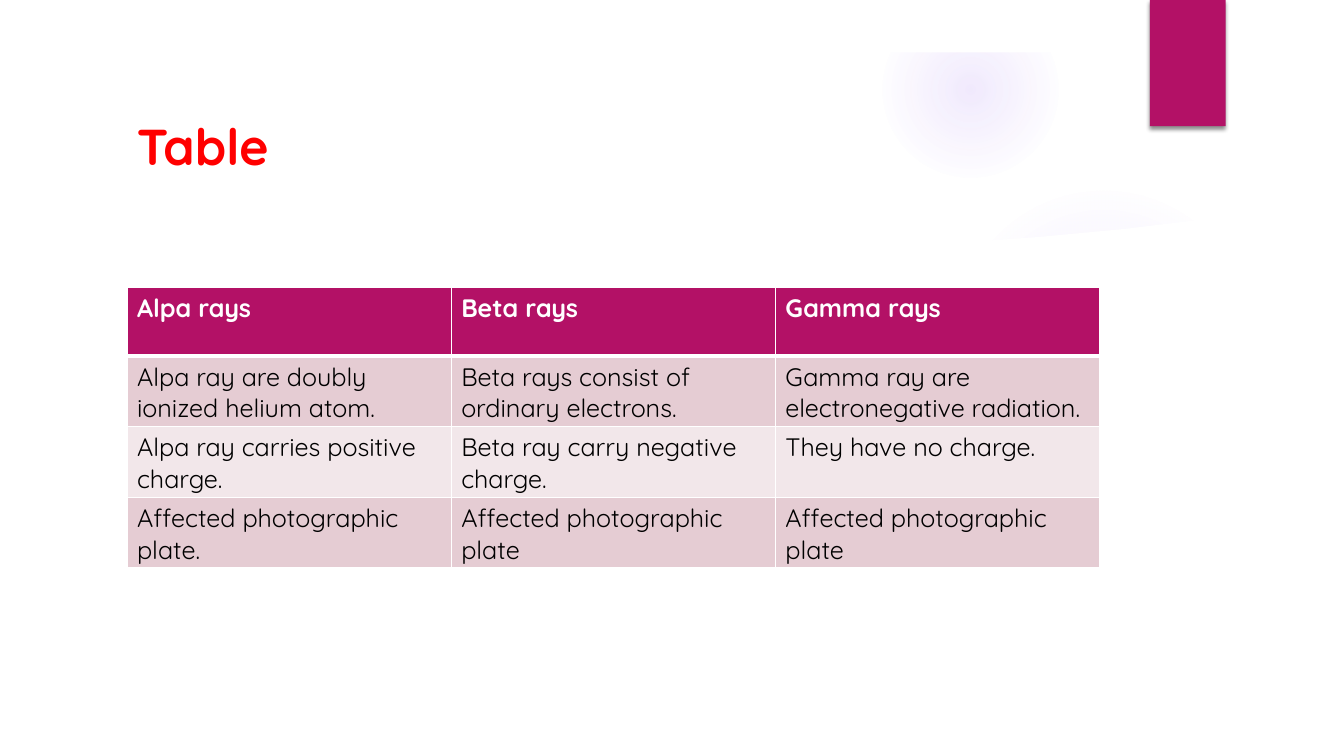
import dataclasses
import typing

import pptx
import pptx.dml.color
import pptx.enum.shapes
import pptx.enum.text
import pptx.oxml
import pptx.oxml.ns
import pptx.util

Cm = pptx.util.Cm
Pt = pptx.util.Pt
RGB = pptx.dml.color.RGBColor
Preset = pptx.enum.shapes.MSO_SHAPE
XMLNS = pptx.oxml.ns.nsdecls("a")


@dataclasses.dataclass(frozen=True)
class Theme:
    font: str = "Quicksand"
    white: str = "FFFFFF"
    black: str = "000000"
    title: str = "FF0000"
    accent: str = "B31166"
    glow: str = "9B6BF2"
    bands: tuple[str, str] = ("E5CCD3", "F2E7EA")
    title_size: int = 36
    table_size: int = 18


@dataclasses.dataclass(frozen=True)
class Box:
    """A rectangle in centimetres."""
    left: float
    top: float
    width: float
    height: float

    def lengths(self) -> tuple[int, ...]:
        return tuple(Cm(side) for side in dataclasses.astuple(self))


@dataclasses.dataclass(frozen=True)
class Glow:
    """A radial glow; each stop is (position, opacity) in percent."""
    left: float
    top: float
    diameter: float
    stops: tuple[tuple[int, int], ...]


THEME = Theme()
SLIDE = Box(0, 0, 33.87, 19.05)
TITLE = Box(3.2, 2.69, 24.33, 1.96)
TABLE = Box(3.2, 7.24, 24.51, 6.92)
ACCENT_TAB = Box(28.98, 0, 1.91, 3.18)
FRAME_THICKNESS = 1.32
GLOWS = (
    Glow(23.9, 4.65, 7.82, ((0, 7), (36, 6), (69, 0))),
    Glow(22.23, 0.03, 4.45, ((0, 14), (36, 7), (73, 0))),
)
PANEL_BOTTOM = 17.78
PANEL_EDGE = (
    (1.27, 5.18), (4.75, 5.61), (8.15, 5.92), (11.28, 6.12),
    (14.81, 6.25), (17.98, 6.3), (21.34, 6.25), (24.1, 6.12),
    (26.21, 5.97), (28.35, 5.77), (30.48, 5.51), (32.61, 5.18),
)
RAYS = (
    ("Alpa rays", "Beta rays", "Gamma rays"),
    ("Alpa ray are doubly ionized helium atom.",
     "Beta rays consist of ordinary electrons.",
     "Gamma ray are electronegative radiation."),
    ("Alpa ray carries positive charge.",
     "Beta ray carry negative charge.",
     "They have no charge."),
    ("Affected photographic plate.",
     "Affected photographic plate",
     "Affected photographic plate"),
)


def write(frame: typing.Any, text: str, size: int, color: str, bold: bool) -> None:
    run = frame.paragraphs[0].add_run()
    run.text = text
    formats = {"name": THEME.font, "size": Pt(size), "bold": bold}
    for attribute, value in formats.items():
        setattr(run.font, attribute, value)
    run.font.color.rgb = RGB.from_string(color)


def paint(shape: typing.Any, color: str) -> None:
    """Give a shape a flat fill with neither outline nor shadow."""
    shape.fill.solid()
    shape.fill.fore_color.rgb = RGB.from_string(color)
    shape.line.fill.background()
    shape.shadow.inherit = False


def draw_glow(shapes: typing.Any, glow: Glow) -> None:
    box = Box(glow.left, glow.top, glow.diameter, glow.diameter)
    halo = shapes.add_shape(Preset.OVAL, *box.lengths())
    paint(halo, THEME.glow)
    stops = "".join(
        f'<a:gs pos="{position * 1000}"><a:srgbClr val="{THEME.glow}">'
        f'<a:alpha val="{opacity * 1000}"/></a:srgbClr></a:gs>'
        for position, opacity in glow.stops
    )
    gradient = pptx.oxml.parse_xml(
        f'<a:gradFill {XMLNS}><a:gsLst>{stops}</a:gsLst><a:path path="circle">'
        '<a:fillToRect l="50000" t="50000" r="50000" b="50000"/>'
        '</a:path></a:gradFill>'
    )
    properties = halo.element.spPr
    properties.replace(properties.find(pptx.oxml.ns.qn("a:solidFill")), gradient)


def draw_panel(shapes: typing.Any) -> None:
    """Draw the white area whose sagging top edge cuts off the lower glow."""
    left, right = PANEL_EDGE[0][0], PANEL_EDGE[-1][0]
    outline = (*PANEL_EDGE, (right, PANEL_BOTTOM), (left, PANEL_BOTTOM))
    points = [(Cm(x), Cm(y)) for x, y in outline]
    builder = shapes.build_freeform(*points[0])
    builder.add_line_segments(points[1:], close=True)
    paint(builder.convert_to_shape(), THEME.white)


def draw_frame(shapes: typing.Any) -> None:
    frame = shapes.add_shape(Preset.FRAME, *SLIDE.lengths())
    frame.adjustments[0] = FRAME_THICKNESS / SLIDE.height
    paint(frame, THEME.white)


def draw_accent_tab(shapes: typing.Any) -> None:
    tab = shapes.add_shape(Preset.RECTANGLE, *ACCENT_TAB.lengths())
    paint(tab, THEME.accent)
    effects = tab.element.spPr.find(pptx.oxml.ns.qn("a:effectLst"))
    effects.append(pptx.oxml.parse_xml(
        f'<a:outerShdw {XMLNS} blurRad="{Pt(3)}" dist="{Pt(2)}" dir="5400000">'
        f'<a:srgbClr val="{THEME.black}"><a:alpha val="45000"/></a:srgbClr>'
        '</a:outerShdw>'
    ))


def draw_title(shapes: typing.Any) -> None:
    frame = shapes.add_textbox(*TITLE.lengths()).text_frame
    frame.word_wrap = True
    frame.vertical_anchor = pptx.enum.text.MSO_ANCHOR.MIDDLE
    write(frame, "Table", THEME.title_size, THEME.title, True)


def set_borders(cell: typing.Any, widths: dict[str, int]) -> None:
    """Add white borders, given in points by side in the order L, R, T, B."""
    properties = cell._tc.get_or_add_tcPr()
    for index, (side, width) in enumerate(widths.items()):
        properties.insert(index, pptx.oxml.parse_xml(
            f'<a:ln{side} {XMLNS} w="{Pt(width)}"><a:solidFill>'
            f'<a:srgbClr val="{THEME.white}"/></a:solidFill></a:ln{side}>'
        ))


def draw_ray_table(shapes: typing.Any) -> None:
    table = shapes.add_table(len(RAYS), len(RAYS[0]), *TABLE.lengths()).table
    for row, texts in enumerate(RAYS):
        header = row == 0
        fill = THEME.accent if header else THEME.bands[(row - 1) % 2]
        color = THEME.white if header else THEME.black
        widths = {"L": 1, "R": 1, "T": 3 if row == 1 else 1, "B": 3 if header else 1}
        for column, text in enumerate(texts):
            cell = table.cell(row, column)
            cell.fill.solid()
            cell.fill.fore_color.rgb = RGB.from_string(fill)
            set_borders(cell, widths)
            write(cell.text_frame, text, THEME.table_size, color, header)


def main() -> None:
    presentation = pptx.Presentation()
    presentation.slide_width = Cm(SLIDE.width)
    presentation.slide_height = Cm(SLIDE.height)
    shapes = presentation.slides.add_slide(presentation.slide_layouts[6]).shapes
    for glow in GLOWS:
        draw_glow(shapes, glow)
    draw_panel(shapes)
    draw_frame(shapes)
    draw_accent_tab(shapes)
    draw_title(shapes)
    draw_ray_table(shapes)
    presentation.save("out.pptx")


if __name__ == "__main__":
    main()
